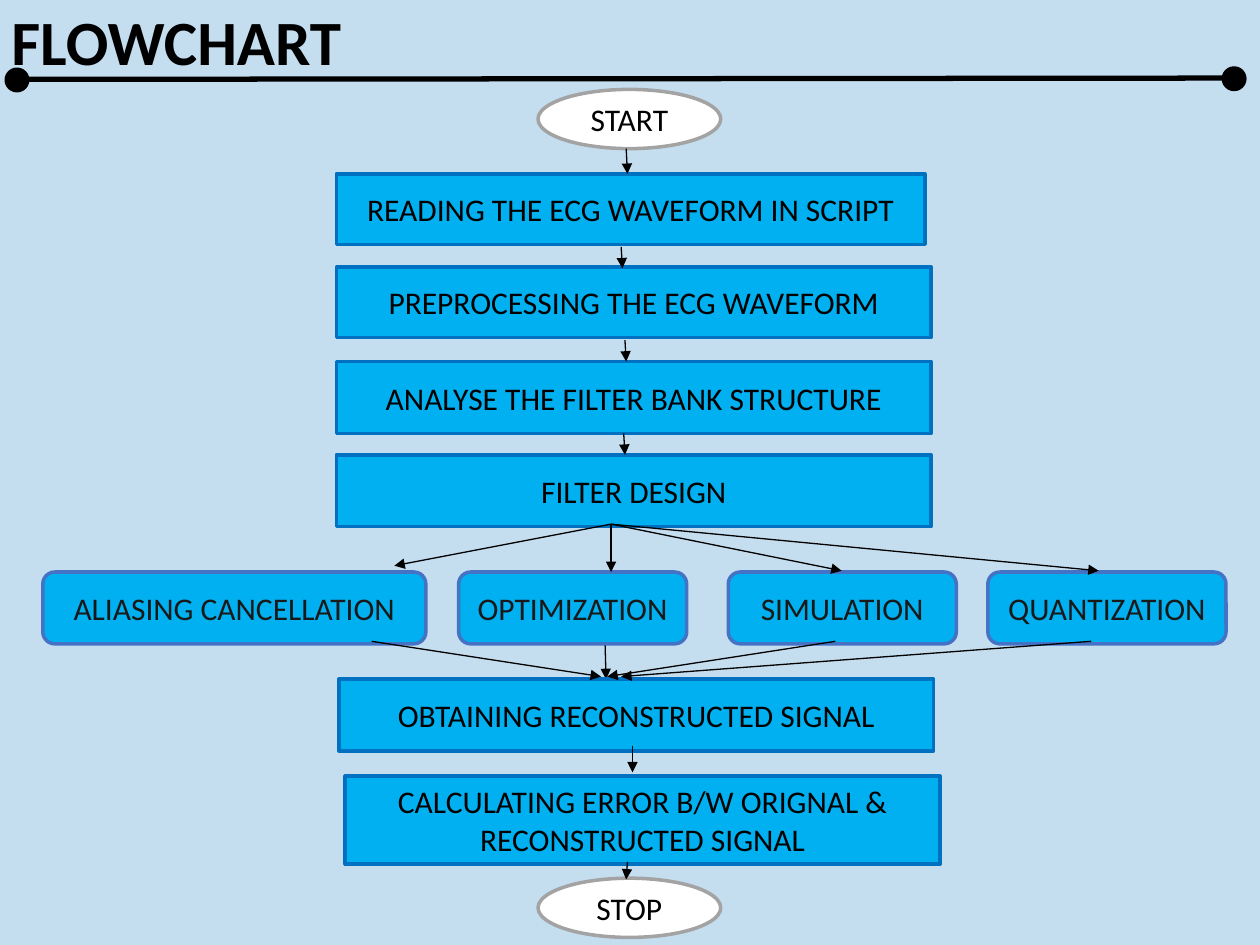
from typing import NamedTuple

from lxml import etree
from pptx import Presentation
from pptx import util as u
from pptx.dml.color import RGBColor
from pptx.enum import shapes, text
from pptx.oxml.ns import qn

COLORS = {
    "background": "C4DEF0",
    "ink": "000000",
    "branch_ink": "191919",
    "step": "00B0F0",
    "step_edge": "0070C0",
    "branch_edge": "4472C4",
    "terminal": "FFFFFF",
    "terminal_edge": "A3A3A3",
}
FONT = "Calibri"
COLS, ROWS = 100, 75  # the slide is a grid of square cells


class Style(NamedTuple):
    shape: shapes.MSO_SHAPE
    fill: str
    edge: str
    ink: str = "ink"


class Node(NamedTuple):
    label: str
    style: Style
    left: float
    top: float
    width: float
    height: float


class Arrow(NamedTuple):
    x1: float
    y1: float
    x2: float
    y2: float


TERMINAL = Style(shapes.MSO_SHAPE.OVAL, "terminal", "terminal_edge")
STEP = Style(shapes.MSO_SHAPE.RECTANGLE, "step", "step_edge")
BRANCH = Style(shapes.MSO_SHAPE.ROUNDED_RECTANGLE, "step", "branch_edge", "branch_ink")
DOT = Style(shapes.MSO_SHAPE.OVAL, "ink", "ink")

NODES = [
    Node("START", TERMINAL, 42.7, 7.1, 14.5, 4.7),
    Node("READING THE ECG WAVEFORM IN SCRIPT", STEP, 26.7, 13.8, 46.7, 5.6),
    Node("PREPROCESSING THE ECG WAVEFORM", STEP, 26.7, 21.2, 47.2, 5.6),
    Node("ANALYSE THE FILTER BANK STRUCTURE", STEP, 26.7, 28.7, 47.2, 5.7),
    Node("FILTER DESIGN", STEP, 26.7, 36.1, 47.2, 5.7),
    Node("OBTAINING RECONSTRUCTED SIGNAL", STEP, 26.9, 53.9, 47.2, 5.7),
    Node("CALCULATING ERROR B/W ORIGNAL & RECONSTRUCTED SIGNAL", STEP, 27.4, 61.6, 47.2, 7),
    Node("STOP", TERMINAL, 42.7, 69.7, 14.5, 4.7),
] + [
    Node(label, BRANCH, left, 45.4, width, 5.7)
    for label, left, width in [
        ("ALIASING CANCELLATION", 3.4, 30.4),
        ("OPTIMIZATION", 36.4, 18.1),
        ("SIMULATION", 57.8, 18.1),
        ("QUANTIZATION", 78.4, 18.9),
    ]
]
RULE_DOTS = [Node("", DOT, 0.5, 5.5, 1.7, 1.7), Node("", DOT, 97.1, 5.4, 1.7, 1.7)]

STEP_ARROWS = [
    Arrow(49.7, 11.8, 49.8, 13.8),
    Arrow(49.3, 19.6, 49.4, 21.3),
    Arrow(49.6, 27, 49.7, 28.7),
    Arrow(49.5, 34.4, 49.6, 36.1),
    Arrow(50.2, 59.2, 50.2, 61.3),
    Arrow(49.8, 68.4, 49.7, 69.8),
]
FAN_OUT = [
    Arrow(48.5, 41.6, x, y)
    for x, y in [(31.3, 44.9), (48.5, 45.4), (66.8, 45.3), (87.2, 45.3)]
]
FAN_IN = [
    Arrow(x1, 50.9, x2, 53.7)
    for x1, x2 in [(29.5, 47.7), (66.3, 48.2), (86.6, 49.3)]
]
OPTIMIZATION_OUT = Arrow(48, 50.3, 48.1, 53.9)


def rgb(name: str) -> RGBColor:
    return RGBColor.from_string(COLORS[name])


def grid(*cells: float) -> list[u.Length]:
    """Turn grid cells into slide lengths."""
    return [u.Inches(c * 10 / COLS) for c in cells]


def format_runs(tf, size: float, ink: str, bold: bool = False) -> None:
    for p in tf.paragraphs:
        for r in p.runs:
            r.font.name = FONT
            r.font.size = u.Pt(size)
            r.font.bold = bold
            r.font.color.rgb = rgb(ink)


def draw_node(parent, node: Node) -> None:
    style = node.style
    sp = parent.add_shape(style.shape, *grid(node.left, node.top, node.width, node.height))
    sp.shadow.inherit = False
    sp.fill.solid()
    sp.fill.fore_color.rgb = rgb(style.fill)
    sp.line.color.rgb = rgb(style.edge)
    sp.line.width = u.Pt(2)
    if node.label:
        tf = sp.text_frame
        tf.word_wrap = True
        tf.vertical_anchor = text.MSO_ANCHOR.MIDDLE
        tf.text = node.label
        tf.paragraphs[0].alignment = text.PP_ALIGN.CENTER
        format_runs(tf, 18, style.ink)


def draw_line(parent, path: Arrow, width: float = 0.75, head: bool = True) -> None:
    line = parent.add_connector(shapes.MSO_CONNECTOR.STRAIGHT, *grid(*path))
    line.line.color.rgb = rgb("ink")
    line.line.width = u.Pt(width)
    if head:
        etree.SubElement(line.line._get_or_add_ln(), qn("a:tailEnd"), type="triangle")
    etree.SubElement(line._element.spPr, qn("a:effectLst"))


def draw_title(s) -> None:
    sp = s.shapes.title
    sp.left, sp.top, sp.width, sp.height = grid(-0.1, 0.8, 90, 5.5)
    tf = sp.text_frame
    tf.text = "FLOWCHART"
    tf.auto_size = text.MSO_AUTO_SIZE.NONE
    tf.vertical_anchor = text.MSO_ANCHOR.MIDDLE
    tf.margin_top = tf.margin_bottom = 0
    tf.paragraphs[0].alignment = text.PP_ALIGN.LEFT
    tf.paragraphs[0].line_spacing = 0.9
    format_runs(tf, 36, "ink", bold=True)


def main() -> None:
    prs = Presentation()
    prs.slide_width, prs.slide_height = grid(COLS, ROWS)
    s = prs.slides.add_slide(prs.slide_layouts[5])
    s.background.fill.solid()
    s.background.fill.fore_color.rgb = rgb("background")

    draw_title(s)
    rule = s.shapes.add_group_shape().shapes
    draw_line(rule, Arrow(2.1, 6.3, 97.1, 6.2), width=3, head=False)
    for dot in RULE_DOTS:
        draw_node(rule, dot)

    draw_line(s.shapes, OPTIMIZATION_OUT)  # starts behind its box
    for node in NODES:
        draw_node(s.shapes, node)
    for arrow in STEP_ARROWS + FAN_OUT + FAN_IN:
        draw_line(s.shapes, arrow)
    prs.save("out.pptx")


if __name__ == "__main__":
    main()
